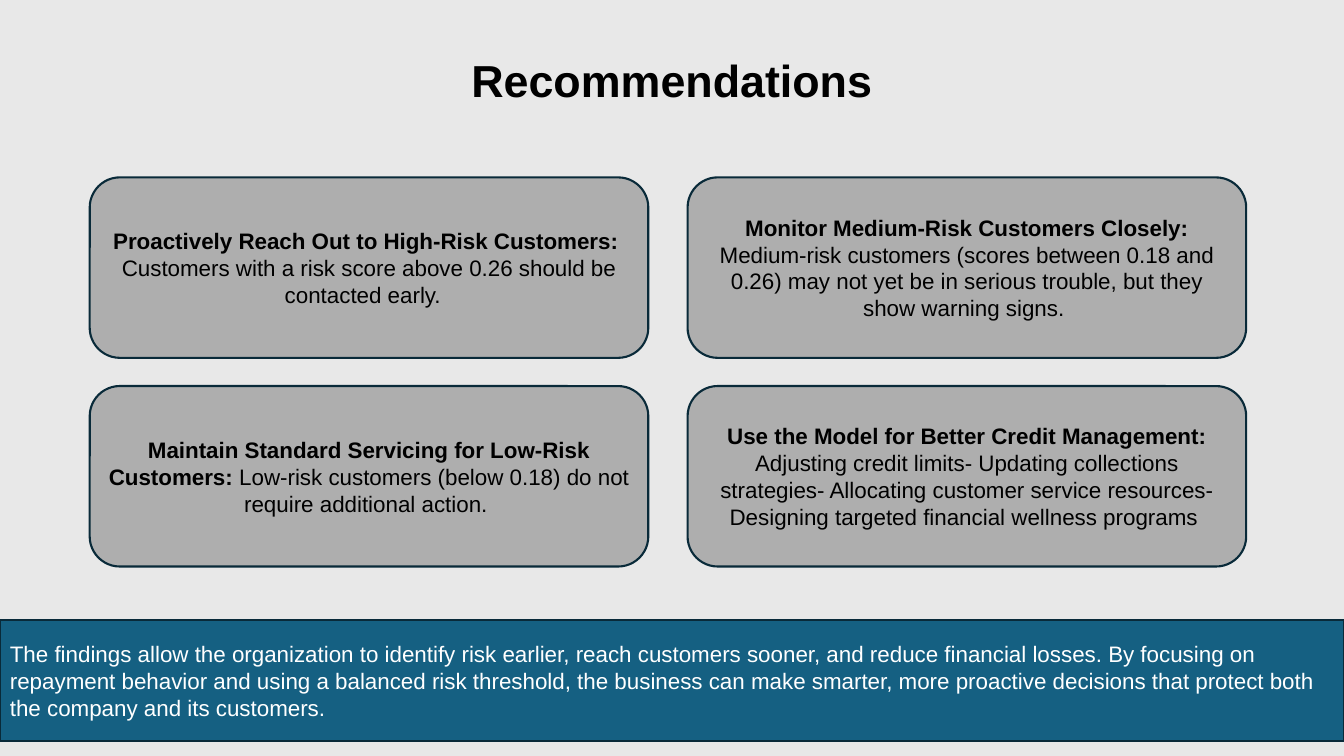
"""Build the Recommendations slide: a two by two grid of cards above a closing banner."""
from pptx import Presentation
from pptx.dml.color import RGBColor
from pptx.enum.shapes import MSO_SHAPE as Preset
from pptx.enum.text import MSO_ANCHOR as Anchor, PP_ALIGN as Align
from pptx.util import Inches, Pt

TITLE = "Recommendations"
CARDS = [
    [[("Proactively Reach Out to High-Risk Customers: ", True)],
     [("Customers with a risk score above 0.26 should be contacted early.  ", False)]],
    [[("Monitor Medium-Risk Customers Closely: ", True),
      ("Medium-risk customers (scores between 0.18 and 0.26) may not yet be in "
       "serious trouble, but they show warning signs. ", False)]],
    [[("Maintain Standard Servicing for Low-Risk Customers: ", True),
      ("Low-risk customers (below 0.18) do not require additional action. ", False)]],
    [[("Use the Model for Better Credit Management: ", True),
      ("Adjusting credit limits- Updating collections strategies- Allocating customer "
       "service resources- Designing targeted financial wellness programs ", False)]],
]
BANNER = [[(
    "The findings allow the organization to identify risk earlier, reach customers sooner, "
    "and reduce financial losses. By focusing on repayment behavior and using a balanced "
    "risk threshold, the business can make smarter, more proactive decisions that protect "
    "both the company and its customers.", False)]]

BACKGROUND = RGBColor(0xE8, 0xE8, 0xE8)
CARD_FILL = RGBColor(0xAE, 0xAE, 0xAE)
BANNER_FILL = RGBColor(0x15, 0x60, 0x82)
OUTLINE = RGBColor(0x09, 0x2A, 0x39)
BLACK = RGBColor(0, 0, 0)
WHITE = RGBColor(0xFF, 0xFF, 0xFF)

SLIDE_WIDTH, SLIDE_HEIGHT = 13.33, 7.5
COLUMNS = 2
GRID_LEFT, GRID_TOP = 0.89, 1.76
CARD_WIDTH, CARD_HEIGHT = 5.54, 1.79
COLUMN_GAP, ROW_GAP = 0.39, 0.28
TITLE_BOX = (0, 0.1, SLIDE_WIDTH, 1.45)
BANNER_BOX = (0, 6.15, SLIDE_WIDTH, 1.2)


def write_paragraphs(shape, paragraphs, align, size, color):
    """Fill a shape with paragraphs made of (text, bold) runs."""
    frame = shape.text_frame
    frame.word_wrap = True
    frame.vertical_anchor = Anchor.MIDDLE
    for index, runs in enumerate(paragraphs):
        paragraph = frame.add_paragraph() if index else frame.paragraphs[0]
        paragraph.alignment = align
        for text, bold in runs:
            run = paragraph.add_run()
            run.text = text
            run.font.color.rgb = color
            for name, value in {"name": "Arial", "size": Pt(size), "bold": bold}.items():
                setattr(run.font, name, value)


def add_panel(slide, preset, box, fill, paragraphs, align, color):
    """Add an outlined shape with text."""
    shape = slide.shapes.add_shape(preset, *map(Inches, box))
    shape.shadow.inherit = False
    shape.fill.solid()
    shape.fill.fore_color.rgb = fill
    shape.line.color.rgb = OUTLINE
    shape.line.width = Pt(1.5)
    write_paragraphs(shape, paragraphs, align, 16, color)


def main():
    """Compose and save the slide."""
    presentation = Presentation()
    presentation.slide_width = Inches(SLIDE_WIDTH)
    presentation.slide_height = Inches(SLIDE_HEIGHT)
    slide = presentation.slides.add_slide(presentation.slide_layouts[5])
    slide.background.fill.solid()
    slide.background.fill.fore_color.rgb = BACKGROUND

    title = slide.shapes.title
    for name, length in zip(("left", "top", "width", "height"), TITLE_BOX):
        setattr(title, name, Inches(length))
    write_paragraphs(title, [[(TITLE, True)]], Align.CENTER, 32, BLACK)
    title.text_frame.paragraphs[0].line_spacing = 0.9

    add_panel(slide, Preset.RECTANGLE, BANNER_BOX, BANNER_FILL, BANNER, Align.LEFT, WHITE)
    for index, card in enumerate(CARDS):
        row, column = divmod(index, COLUMNS)
        box = (GRID_LEFT + column * (CARD_WIDTH + COLUMN_GAP),
               GRID_TOP + row * (CARD_HEIGHT + ROW_GAP), CARD_WIDTH, CARD_HEIGHT)
        add_panel(slide, Preset.ROUNDED_RECTANGLE, box, CARD_FILL, card, Align.CENTER, BLACK)

    presentation.save("out.pptx")


if __name__ == "__main__":
    main()
